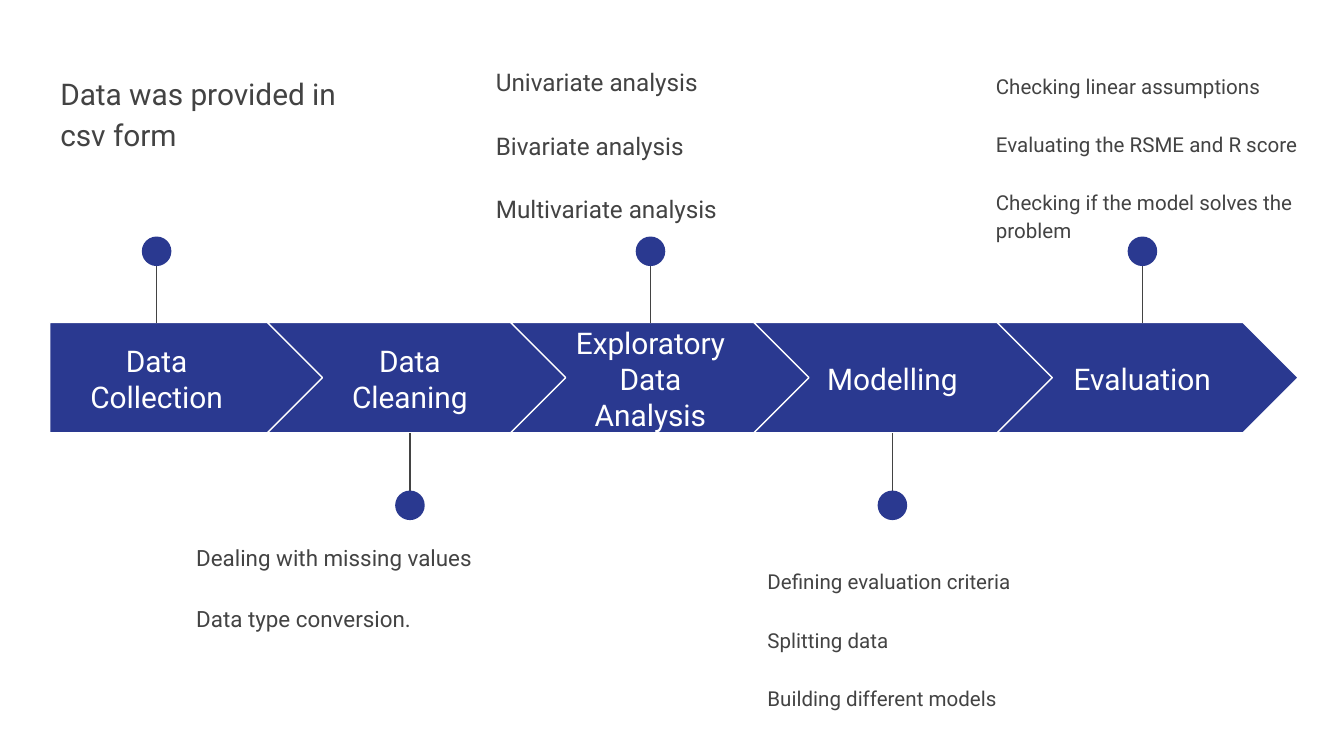
from pptx import Presentation
from pptx.dml.color import RGBColor
from pptx.enum.shapes import MSO_CONNECTOR, MSO_SHAPE
from pptx.enum.text import MSO_ANCHOR, MSO_AUTO_SIZE, PP_ALIGN
from pptx.oxml.ns import qn
from pptx.util import Inches, Pt
from lxml import etree

PENTAGON, CHEVRON, OVAL = MSO_SHAPE.PENTAGON, MSO_SHAPE.CHEVRON, MSO_SHAPE.OVAL
STRAIGHT = MSO_CONNECTOR.STRAIGHT
TOP, MIDDLE = MSO_ANCHOR.TOP, MSO_ANCHOR.MIDDLE
LEFT, CENTER = PP_ALIGN.LEFT, PP_ALIGN.CENTER
NO_FIT = MSO_AUTO_SIZE.NONE

FONT = "Roboto"
NAVY, GREY, WHITE = "2A3990", "434343", "FFFFFF"
BAND_TOP, BAND_H = 2.4, 0.82
STEP_LEFT, STEP_W, STEP_GAP = 1.99, 2.24, 1.81
DOT, STEM = 0.22, 0.6

# Label lines, label left, label width
STEPS = [
    (["Data Collection"], 0.37, 1.59),
    (["Data Cleaning"], 2.33, 1.44),
    (["Exploratory", "Data", "Analysis"], 4.12, 1.44),
    (["Modelling"], 5.92, 1.44),
    (["Evaluation"], 7.78, 1.44),
]

# Box (left, top, width, height), text size, list items
LISTS = [
    ((1.36, 3.92, 2.45, 1.65), 12,
     ["Dealing with missing values", "Data type conversion."]),
    ((3.59, 0.37, 2.45, 1.34), 13,
     ["Univariate analysis", "Bivariate analysis", "Multivariate analysis"]),
    ((5.61, 4.11, 2.45, 1.45), 11,
     ["Defining evaluation criteria", "Splitting data",
      "Building different models"]),
    ((7.31, 0.42, 2.45, 1.29), 11,
     ["Checking linear assumptions", "Evaluating the RSME and R score",
      "Checking if the model solves the problem"]),
]


def rgb(value):
    return RGBColor.from_string(value)


def write(sp, lines, size, color, align=LEFT, anchor=TOP, spacing=1.0, gap=0):
    """Fill a text shape with one unbulleted paragraph per line."""
    tf = sp.text_frame
    tf.word_wrap = True
    tf.auto_size = NO_FIT
    tf.vertical_anchor = anchor
    tf.margin_left = tf.margin_right = Inches(0.1)
    tf.margin_top = tf.margin_bottom = Inches(0.1)
    for i, line in enumerate(lines):
        p = tf.add_paragraph() if i else tf.paragraphs[0]
        p.alignment = align
        p.line_spacing = spacing
        p.space_before = Pt(gap if i else 0)
        pPr = p._p.get_or_add_pPr()
        pPr.set("marL", "0")
        pPr.set("indent", "0")
        etree.SubElement(pPr, qn("a:buNone"))
        r = p.add_run()
        r.text = line
        r.font.name = FONT
        r.font.size = Pt(size)
        r.font.bold = False
        r.font.color.rgb = rgb(color)


def add_text(s, box, lines, size, color, **style):
    sp = s.shapes.add_textbox(*map(Inches, box))
    write(sp, lines, size, color, **style)


def fill_list(sp, box, size, items):
    """Move a body placeholder and fill it with spaced items."""
    sp.left, sp.top, sp.width, sp.height = map(Inches, box)
    write(sp, items, size, GREY, spacing=1.15, gap=16)


def add_solid(s, kind, box, outline=None):
    sp = s.shapes.add_shape(kind, *map(Inches, box))
    sp.shadow.inherit = False
    sp.fill.solid()
    sp.fill.fore_color.rgb = rgb(NAVY)
    if outline:
        sp.line.color.rgb = rgb(outline)
        sp.line.width = Pt(0.75)
    else:
        sp.line.fill.background()
    return sp


def add_pin(s, x, above):
    """Draw a stem from the band to a dot above or below it."""
    edge = BAND_TOP if above else BAND_TOP + BAND_H
    end = edge - STEM if above else edge + STEM
    stem = s.shapes.add_connector(
        STRAIGHT, Inches(x), Inches(end), Inches(x), Inches(edge))
    stem.line.color.rgb = rgb(GREY)
    stem.line.width = Pt(0.75)
    etree.SubElement(stem._element.spPr, qn("a:effectLst"))
    dot_top = 1.76 if above else 3.65
    add_solid(s, OVAL, (x - DOT / 2, dot_top, DOT, DOT))


def add_step(s, i, lines, left, width):
    if i == 0:
        kind, box = PENTAGON, (0.37, BAND_TOP, 2.05, BAND_H)
    else:
        x = STEP_LEFT + (i - 1) * STEP_GAP
        kind, box = CHEVRON, (x, BAND_TOP, STEP_W, BAND_H)
    add_solid(s, kind, box, WHITE).adjustments[0] = 0.5
    add_text(s, (left, 2.56, width, 0.51), lines, 16, WHITE,
             align=CENTER, anchor=MIDDLE)
    add_pin(s, left + width / 2, above=i % 2 == 0)


def main():
    # Widescreen, 16 to 9
    prs = Presentation()
    prs.slide_width = Inches(10)
    prs.slide_height = Inches(10 * 9 / 16)
    s = prs.slides.add_slide(prs.slide_layouts[4])

    # The slide has no heading
    title = s.shapes.title._element
    title.getparent().remove(title)

    # Notes on each step
    bodies = [s.placeholders[idx] for idx in (1, 2, 3, 4)]
    for sp, (box, size, items) in zip(bodies, LISTS):
        fill_list(sp, box, size, items)
    add_text(s, (0.35, 0.42, 2.45, 0.99), ["Data was provided in csv form"],
             16, GREY, spacing=1.15)

    # Process band with pins
    for i, (lines, left, width) in enumerate(STEPS):
        add_step(s, i, lines, left, width)

    prs.save("out.pptx")


if __name__ == "__main__":
    main()
